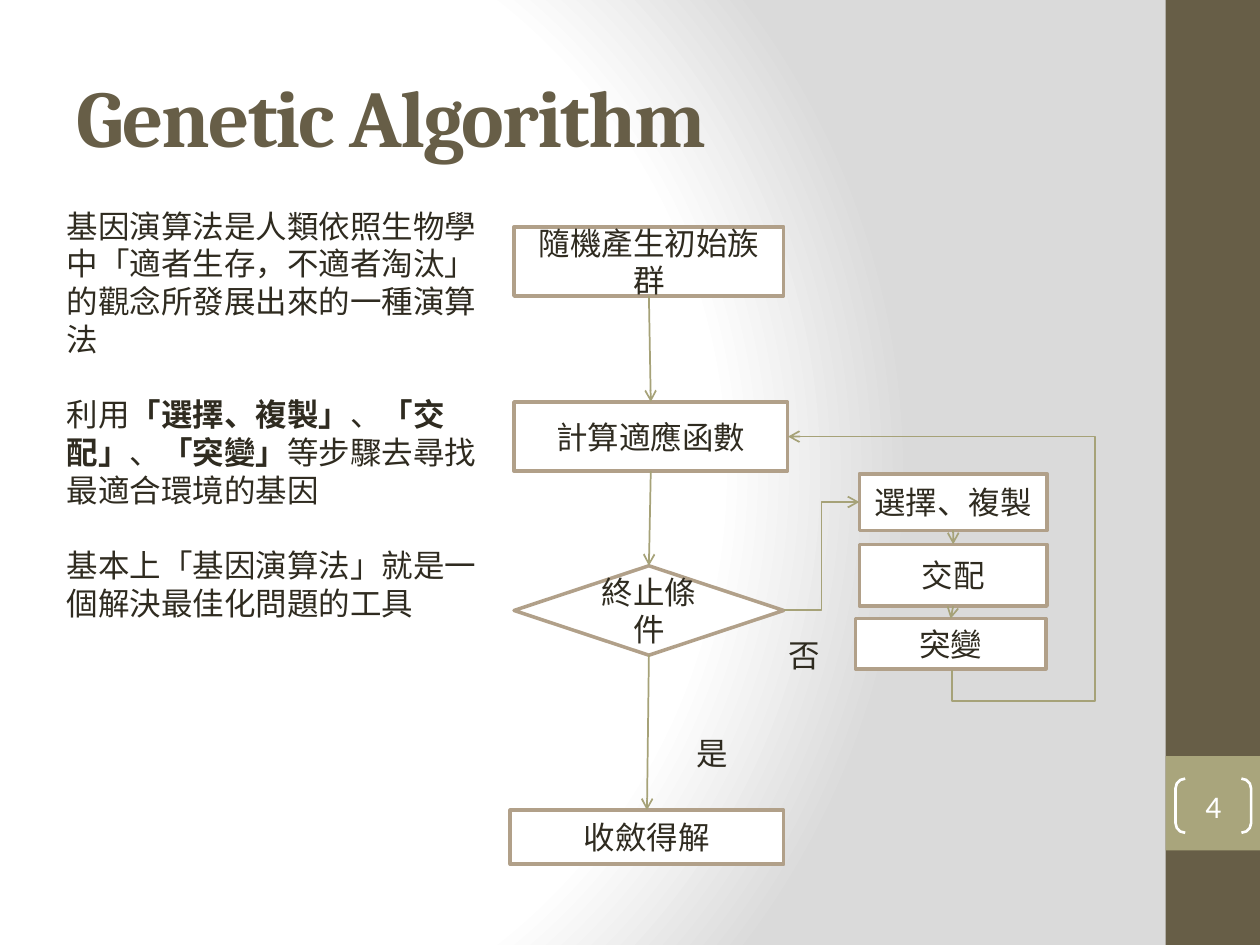
from dataclasses import dataclass

from pptx import Presentation
from pptx.dml.color import RGBColor
from pptx.enum.shapes import MSO_CONNECTOR, MSO_SHAPE
from pptx.enum.text import MSO_ANCHOR, MSO_AUTO_SIZE, PP_ALIGN
from pptx.oxml import parse_xml
from pptx.oxml.ns import nsdecls, qn
from pptx.util import Inches, Pt


@dataclass(frozen=True)
class Theme:
    brown: RGBColor = RGBColor(0x67, 0x5E, 0x47)
    olive: RGBColor = RGBColor(0xA9, 0xA5, 0x7C)
    arrow: RGBColor = RGBColor(0xA6, 0xA2, 0x78)
    border: RGBColor = RGBColor(0xB1, 0xA0, 0x89)
    ink: RGBColor = RGBColor(0x2F, 0x2B, 0x20)
    white: RGBColor = RGBColor(0xFF, 0xFF, 0xFF)
    heading_font: str = "Cambria"
    body_font: str = "Calibri"
    title_size: int = 46
    body_size: int = 18
    paragraph_gap: float = 21.5


THEME = Theme()
TOP, LEFT, BOTTOM, RIGHT = range(4)  # connection sites of a shape

INTRO = [
    [("基因演算法是人類依照生物學中「適者生存，不適者淘汰」的觀念所發展出來的一種演算法", False)],
    [("利用", False), ("「選擇、複製」", True), ("、", False), ("「交配」", True),
     ("、", False), ("「突變」", True), ("等步驟去尋找最適合環境的基因", False)],
    [("基本上「基因演算法」就是一個解決最佳化問題的工具", False)],
]

STEPS = {
    "start": ("隨機產生初始族群", MSO_SHAPE.RECTANGLE, (4.08, 1.8, 2.14, 0.55)),
    "fitness": ("計算適應函數", MSO_SHAPE.RECTANGLE, (4.08, 3.19, 2.17, 0.55)),
    "select": ("選擇、複製", MSO_SHAPE.RECTANGLE, (6.82, 3.76, 1.49, 0.45)),
    "cross": ("交配", MSO_SHAPE.RECTANGLE, (6.82, 4.32, 1.49, 0.49)),
    "mutate": ("突變", MSO_SHAPE.RECTANGLE, (6.79, 4.91, 1.51, 0.4)),
    "stop": ("終止條件", MSO_SHAPE.DIAMOND, (4.08, 4.49, 2.14, 0.71)),
    "result": ("收斂得解", MSO_SHAPE.RECTANGLE, (4.05, 6.43, 2.17, 0.43)),
}
DOWN_ARROWS = [("start", "fitness"), ("fitness", "stop"), ("stop", "result"),
               ("select", "cross"), ("cross", "mutate")]
BRANCH_LABELS = [("否", (6.16, 5, 0.63, 0.4)), ("是", (5.43, 5.78, 0.63, 0.4))]


def place(box):
    return [Inches(value) for value in box]


def add_span(para, text, color=THEME.ink, size=THEME.body_size,
             font=THEME.body_font, bold=False):
    span = para.add_run()
    span.text = text
    span.font.name = font
    span.font.size = Pt(size)
    span.font.bold = bold
    span.font.color.rgb = color
    return span


def add_panel(page, kind, box, fill=None, line=None, width=2):
    panel = page.shapes.add_shape(kind, *place(box))
    panel.shadow.inherit = False
    if fill is None:
        panel.fill.background()
    else:
        panel.fill.solid()
        panel.fill.fore_color.rgb = fill
    if line is None:
        panel.line.fill.background()
    else:
        panel.line.color.rgb = line
        panel.line.width = Pt(width)
    return panel


def center_text(panel, text, color=THEME.ink):
    frame = panel.text_frame
    frame.word_wrap = True
    frame.vertical_anchor = MSO_ANCHOR.MIDDLE
    frame.paragraphs[0].alignment = PP_ALIGN.CENTER
    add_span(frame.paragraphs[0], text, color)


def add_text(page, box, paragraphs):
    frame = page.shapes.add_textbox(*place(box)).text_frame
    frame.word_wrap = True
    frame.auto_size = MSO_AUTO_SIZE.SHAPE_TO_FIT_TEXT
    for index, spans in enumerate(paragraphs):
        para = frame.add_paragraph() if index else frame.paragraphs[0]
        if index:
            para.space_before = Pt(THEME.paragraph_gap)
        for text, bold in spans:
            add_span(para, text, bold=bold)


def add_arrow(page, source, source_site, target, target_site,
              kind=MSO_CONNECTOR.STRAIGHT):
    arrow = page.shapes.add_connector(kind, 0, 0, 0, 0)
    arrow.begin_connect(source, source_site)
    arrow.end_connect(target, target_site)
    arrow.line.color.rgb = THEME.arrow
    arrow.line.width = Pt(1)
    arrow.line._get_or_add_ln().append(
        parse_xml(f'<a:tailEnd {nsdecls("a")} type="arrow"/>'))
    arrow._element.spPr.append(parse_xml(f'<a:effectLst {nsdecls("a")}/>'))
    return arrow


def route_loop(arrow, box):
    """Lead the arrow below its source, around the right side and back."""
    arrow.left, arrow.top, arrow.width, arrow.height = place(box)
    properties = arrow._element.spPr
    frame = properties.find(qn("a:xfrm"))
    frame.attrib.pop("flipV", None)
    frame.set("rot", "5400000")
    frame.set("flipH", "1")
    properties.replace(properties.find(qn("a:prstGeom")), parse_xml(
        f'<a:prstGeom {nsdecls("a")} prst="bentConnector4"><a:avLst>'
        '<a:gd name="adj1" fmla="val -13500"/><a:gd name="adj2" fmla="val -87200"/>'
        '</a:avLst></a:prstGeom>'))


def set_background(page):
    page.background.fill.gradient()
    old = page.element.find(".//" + qn("a:gradFill"))
    stops = "".join(f'<a:gs pos="{position}000"><a:srgbClr val="{color}"/></a:gs>'
                    for position, color in [(0, "FFFFFF"), (75, "FFFFFF"), (100, "DADADA")])
    old.getparent().replace(old, parse_xml(
        f'<a:gradFill {nsdecls("a")} rotWithShape="1"><a:gsLst>{stops}</a:gsLst>'
        '<a:path path="circle"><a:fillToRect l="20000" t="50000" r="100000" b="50000"/>'
        '</a:path></a:gradFill>'))


def build_sidebar(page, box, number):
    left, top, width, height = box
    add_panel(page, MSO_SHAPE.RECTANGLE, box, THEME.brown)
    add_panel(page, MSO_SHAPE.RECTANGLE, (left, top + 6, width, 0.75), THEME.olive)
    bracket = add_panel(page, MSO_SHAPE.DOUBLE_BRACKET,
                        (left + 0.08, top + 6.18, 0.6, 0.43), line=THEME.white, width=1.5)
    bracket.adjustments[0] = 0.179
    frame = bracket.text_frame
    frame.margin_left = frame.margin_right = frame.margin_top = frame.margin_bottom = 0
    center_text(bracket, number, THEME.white)


def build_title(page, box, text):
    title = page.shapes.title
    title.left, title.top, title.width, title.height = place(box)
    title.text_frame.vertical_anchor = MSO_ANCHOR.MIDDLE
    para = title.text_frame.paragraphs[0]
    para.alignment = PP_ALIGN.LEFT
    span = add_span(para, text, THEME.brown, THEME.title_size, THEME.heading_font, True)
    span.font._element.set("spc", "-100")


def build_flowchart(page, left, top):
    """Place the flowchart; its parts are measured from the first step."""
    origin_left, origin_top = STEPS["start"][2][:2]

    def shift(box):
        return (box[0] - origin_left + left, box[1] - origin_top + top, *box[2:])

    # Steps
    steps = {}
    for name, (text, kind, box) in STEPS.items():
        steps[name] = add_panel(page, kind, shift(box), THEME.white, THEME.border)
        center_text(steps[name], text)

    # Arrows
    for source, target in DOWN_ARROWS:
        add_arrow(page, steps[source], BOTTOM, steps[target], TOP)
    add_arrow(page, steps["stop"], RIGHT, steps["select"], LEFT, MSO_CONNECTOR.ELBOW)
    loop = add_arrow(page, steps["mutate"], BOTTOM, steps["fitness"], RIGHT,
                     MSO_CONNECTOR.ELBOW)
    route_loop(loop, shift((5.98, 3.74, 1.85, 1.3)))

    # Branch labels
    for text, box in BRANCH_LABELS:
        add_text(page, shift(box), [[(text, False)]])


def main():
    deck = Presentation()
    deck.slide_width, deck.slide_height = Inches(10), Inches(7.5)
    page = deck.slides.add_slide(deck.slide_layouts[5])
    set_background(page)
    build_sidebar(page, (9.25, 0, 0.75, 7.5), "4")
    build_title(page, (0.51, 0.29, 8.33, 1.25), "Genetic Algorithm")
    build_flowchart(page, 4.08, 1.8)
    add_text(page, (0.43, 1.59, 3.48, 3.74), INTRO)
    deck.save("out.pptx")


if __name__ == "__main__":
    main()
